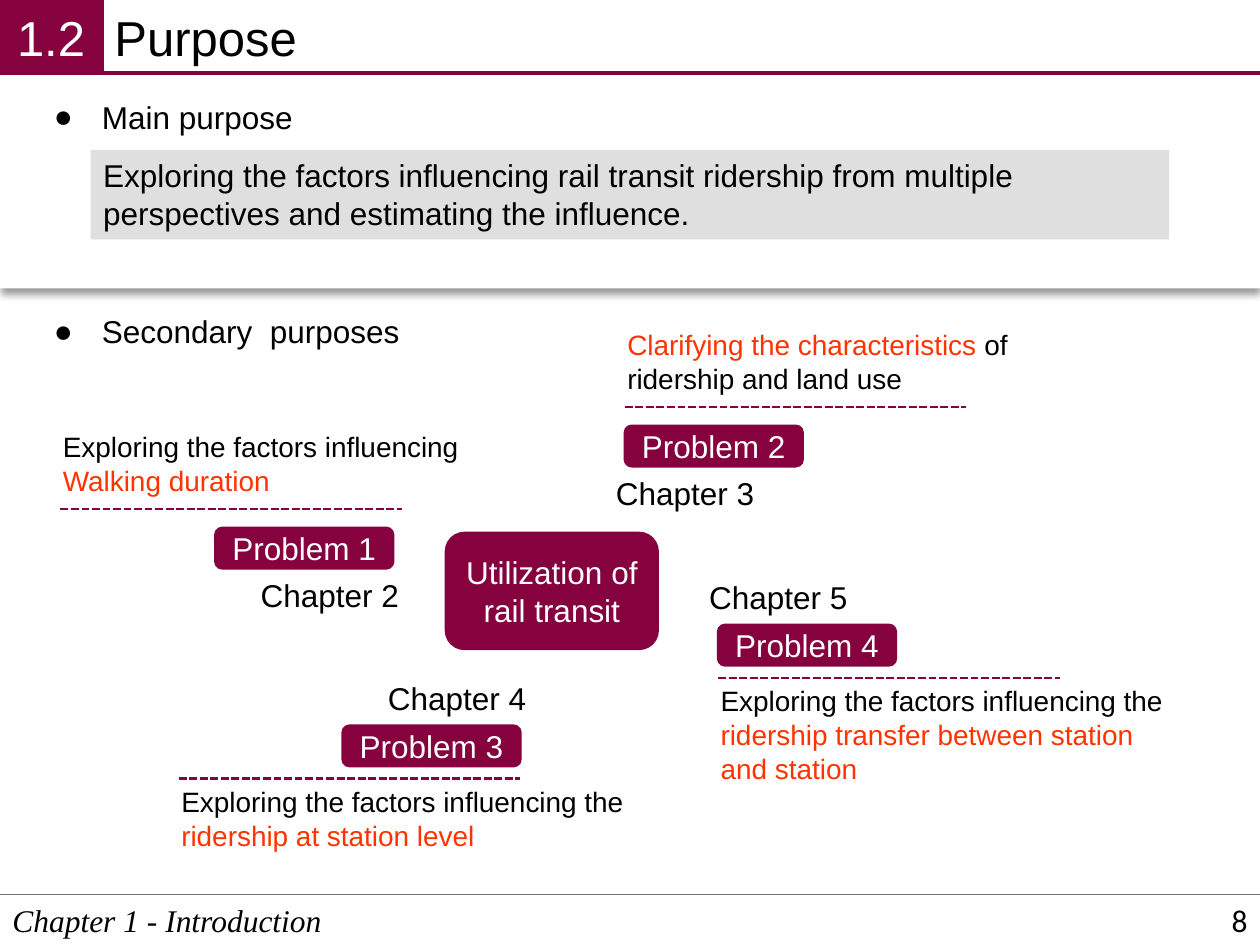
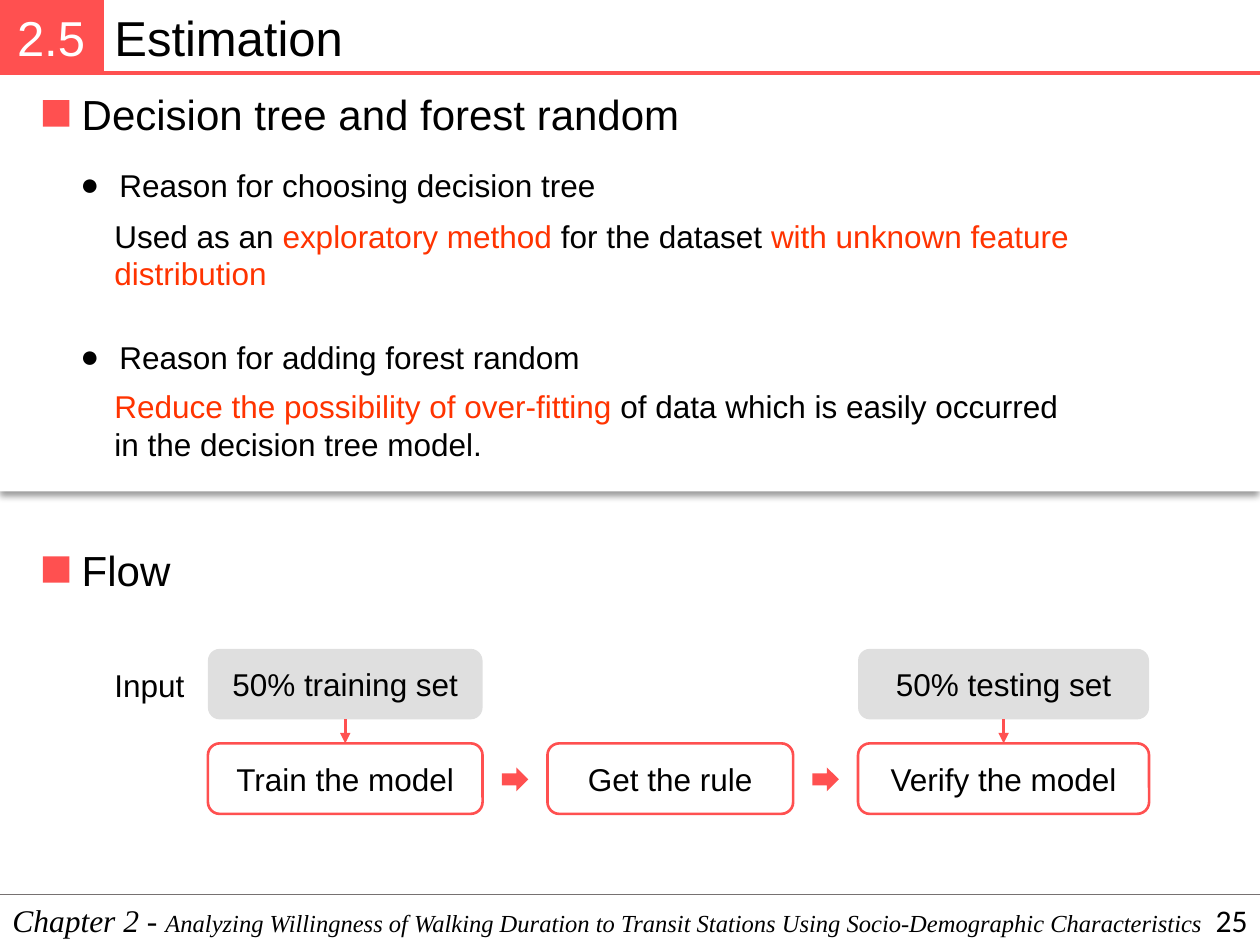
import pptx
import pptx.dml.color
import pptx.enum.dml
import pptx.enum.shapes
import pptx.enum.text
import pptx.oxml
import pptx.oxml.ns
import pptx.util

COLORS = {
    "wine": "85023E", "coral": "FF5050", "highlight": "FF3300", "black": "000000",
    "white": "FFFFFF", "gray": "808080", "rule": "767171",
}
COLUMNS, ROWS = 100, 75
HEADER_ROWS, NUMBER_COLUMNS, FOOTER_ROW = 5.8, 8.1, 71

PURPOSE = {
    "number": "1.2", "title": "Purpose", "accent": "wine", "panel_rows": 17, "page": "8",
    "footer": [("Chapter 1 - Introduction", 18)],
    "bullets": [("Main purpose", 3.3, 7.3), ("Secondary  purposes", 3.3, 24.3)],
    "statement": "Exploring the factors influencing rail transit ridership "
                 "from multiple perspectives and estimating the influence.",
    "center": "Utilization of rail transit",
}
PROBLEMS = [
    {"name": "Problem 1", "chapter": "Chapter 2", "line": (4.8, 40.4), "badge": 12.3, "above": True,
     "aim": [("Exploring the factors influencing ", "black"), ("Walking duration", "highlight")]},
    {"name": "Problem 2", "chapter": "Chapter 3", "line": (49.6, 32.3), "badge": 0, "above": True,
     "aim": [("Clarifying the characteristics ", "highlight"), ("of ridership and land use", "black")]},
    {"name": "Problem 3", "chapter": "Chapter 4", "line": (14.2, 61.8), "badge": 13, "above": False,
     "aim": [("Exploring the factors influencing the ", "black"),
             ("ridership at station level", "highlight")]},
    {"name": "Problem 4", "chapter": "Chapter 5", "line": (57, 53.8), "badge": 0, "above": False,
     "aim": [("Exploring the factors influencing the ", "black"),
             ("ridership transfer between station and station", "highlight")]},
]
ESTIMATION = {
    "number": "2.5", "title": "Estimation", "accent": "coral", "panel_rows": 33.1, "page": "25",
    "footer": [("Chapter 2 - ", 18),
               ("Analyzing Willingness of Walking Duration to Transit Stations "
                "Using Socio-Demographic Characteristics", 14)],
    "headings": [("Decision tree and forest random", 6.5, 49.9), ("Flow", 42.7, 9.1)],
    "bullets": [("Reason for choosing decision tree", 5.4, 12.7),
                ("Reason for adding forest random", 5.4, 26.3)],
    "reasons": [
        (16.7, [("Used as an ", "black"), ("exploratory method ", "highlight"),
                ("for the dataset ", "black"), ("with unknown feature distribution", "highlight")]),
        (30.2, [("Reduce the possibility of over-fitting", "highlight"),
                (" of data which is easily occurred in the decision tree model.", "black")]),
    ],
}
FLOW = [
    {"step": "Train the model", "columns": 21.8, "input": "50% training set"},
    {"step": "Get the rule", "columns": 19.5, "input": None},
    {"step": "Verify the model", "columns": 23.1, "input": "50% testing set"},
]
FLOW_LEFT, FLOW_GAP, INPUT_ROW, STEP_ROW, STEP_ROWS = 16.5, 5.15, 51.5, 59, 5.6

ALIGN = pptx.enum.text.PP_ALIGN
ANCHOR = pptx.enum.text.MSO_ANCHOR
SHAPE = pptx.enum.shapes.MSO_SHAPE

presentation = pptx.Presentation()
presentation.slide_width = pptx.util.Inches(10)
presentation.slide_height = pptx.util.Inches(7.5)


def place(column, row):
    return (round(presentation.slide_width * column / COLUMNS),
            round(presentation.slide_height * row / ROWS))


def rgb(name):
    return pptx.dml.color.RGBColor.from_string(COLORS[name])


def add_xml(parent, markup):
    namespace = pptx.oxml.ns.nsdecls("a")
    tag, rest = markup[1:].split(" ", 1)
    element = pptx.oxml.parse_xml(f"<{tag} {namespace} {rest}")
    parent.append(element)
    return element


def write(shape, runs, align=ALIGN.LEFT, anchor=ANCHOR.TOP, font="Arial", italic=False, wrap=True):
    frame = shape.text_frame
    frame.word_wrap = wrap
    frame.vertical_anchor = anchor
    paragraph = frame.paragraphs[0]
    paragraph.alignment = align
    for text, size, color in runs:
        run = paragraph.add_run()
        run.text = text
        run.font.name = font
        run.font.size = pptx.util.Pt(size)
        run.font.italic = italic
        run.font.color.rgb = rgb(color)
    return paragraph


def add_text(slide, box, runs, **style):
    shape = slide.shapes.add_textbox(*place(*box[:2]), *place(*box[2:]))
    return write(shape, runs, **style)


def add_box(slide, kind, box, fill=None, line=None, width=1.5, alpha=None):
    shape = slide.shapes.add_shape(kind, *place(*box[:2]), *place(*box[2:]))
    shape.shadow.inherit = False
    if fill:
        shape.fill.solid()
        shape.fill.fore_color.rgb = rgb(fill)
    else:
        shape.fill.background()
    if alpha:
        color = shape.fill._xPr.find(".//" + pptx.oxml.ns.qn("a:srgbClr"))
        add_xml(color, f'<a:alpha val="{alpha * 1000}"/>')
    if line:
        shape.line.color.rgb = rgb(line)
        shape.line.width = pptx.util.Pt(width)
    else:
        shape.line.fill.background()
    return shape


def add_line(slide, start, end, color, width, dashed=False, arrow=False):
    connector = slide.shapes.add_connector(
        pptx.enum.shapes.MSO_CONNECTOR.STRAIGHT, *place(*start), *place(*end))
    connector.line.color.rgb = rgb(color)
    connector.line.width = pptx.util.Pt(width)
    if dashed:
        connector.line.dash_style = pptx.enum.dml.MSO_LINE.SQUARE_DOT
    if arrow:
        add_xml(connector.line._get_or_add_ln(), '<a:tailEnd type="triangle"/>')
    add_xml(connector._element.spPr, "<a:effectLst />")


def add_bullet(slide, text, column, row, columns, indent):
    paragraph = add_text(slide, (column, row, columns, 4), [(text, 18, "black")])
    properties = paragraph._p.get_or_add_pPr()
    hang = pptx.util.Inches(indent)
    properties.set("marL", str(hang))
    properties.set("indent", str(-hang))
    add_xml(properties, '<a:buFont typeface="Arial"/>')
    add_xml(properties, '<a:buChar char="●"/>')


def add_frame(content):
    slide = presentation.slides.add_slide(presentation.slide_layouts[6])
    accent = content["accent"]
    panel = add_box(slide, SHAPE.RECTANGLE, (0, 5.9, COLUMNS, content["panel_rows"]), "white")
    effects = panel._element.spPr.find(pptx.oxml.ns.qn("a:effectLst"))
    add_xml(effects, '<a:outerShdw blurRad="50800" dist="38100" dir="5400000" algn="t" rotWithShape="0">'
                     '<a:prstClr val="black"><a:alpha val="40000"/></a:prstClr></a:outerShdw>')
    add_text(slide, (0, FOOTER_ROW, COLUMNS, 4),
             [(text, size, "black") for text, size in content["footer"]],
             font="Times New Roman", italic=True)
    add_line(slide, (0, FOOTER_ROW), (COLUMNS, FOOTER_ROW), "rule", 1)
    add_text(slide, (NUMBER_COLUMNS, 0.1, COLUMNS - NUMBER_COLUMNS, 5.7),
             [(content["title"], 28, "black")])
    number = add_box(slide, SHAPE.RECTANGLE, (0, 0, NUMBER_COLUMNS, HEADER_ROWS), accent, accent, 2.25)
    frame = number.text_frame
    frame.margin_left = frame.margin_right = pptx.util.Inches(0.06)
    frame.margin_top = frame.margin_bottom = pptx.util.Inches(0.06)
    write(number, [(content["number"], 28, "white")], ALIGN.CENTER, ANCHOR.MIDDLE)
    add_line(slide, (NUMBER_COLUMNS, HEADER_ROWS), (COLUMNS, HEADER_ROWS), accent, 2.25)
    add_text(slide, (77.5, FOOTER_ROW, 22.5, 4), [(content["page"], 18, "black")],
             align=ALIGN.RIGHT, anchor=ANCHOR.MIDDLE, font="Calibri")
    return slide


def add_problem(slide, problem):
    left, row = problem["line"]
    above = problem["above"]
    aim_row, badge_row, chapter_row = (-6.8, 1.5, 4.8) if above else (0, -4.2, -8.4)
    badge_left = left + problem["badge"]
    chapter_left = badge_left + (2.6 if problem["badge"] else -1.7)
    add_text(slide, (left - 0.8, row + aim_row, 38.5, 6.4),
             [(text, 16, color) for text, color in problem["aim"]])
    badge = add_box(slide, SHAPE.ROUNDED_RECTANGLE, (badge_left, row + badge_row, 14.1, 3.2), "wine", "wine")
    write(badge, [(problem["name"], 18, "white")], ALIGN.CENTER, ANCHOR.MIDDLE)
    add_text(slide, (chapter_left, row + chapter_row, 13.1, 4),
             [(problem["chapter"], 18, "black")], wrap=False)
    add_line(slide, (left, row), (left + 27.1, row), "wine", 1.5, dashed=True)


def build_purpose():
    slide = add_frame(PURPOSE)
    statement = add_box(slide, SHAPE.RECTANGLE, (7.2, 11.9, 85.6, 7.1), "gray", alpha=25)
    write(statement, [(PURPOSE["statement"], 18, "black")])
    center = add_box(slide, SHAPE.ROUNDED_RECTANGLE, (35.3, 42.2, 17, 9.4), "wine")
    write(center, [(PURPOSE["center"], 18, "white")], ALIGN.CENTER, ANCHOR.MIDDLE)
    for text, column, row in PURPOSE["bullets"]:
        add_bullet(slide, text, column, row, 35.2, 0.38)
    for problem in PROBLEMS:
        add_problem(slide, problem)


def add_flow(slide):
    add_text(slide, (8.1, 52.4, 7.6, 4), [("Input", 18, "black")], wrap=False)
    left = FLOW_LEFT
    for index, stage in enumerate(FLOW):
        columns = stage["columns"]
        if index:
            add_box(slide, SHAPE.RIGHT_ARROW, (left - FLOW_GAP / 2 - 1.05, 60.9, 2.1, 1.9), "coral")
        step = add_box(slide, SHAPE.ROUNDED_RECTANGLE, (left, STEP_ROW, columns, STEP_ROWS), line="coral")
        write(step, [(stage["step"], 18, "black")], ALIGN.CENTER, ANCHOR.MIDDLE)
        if stage["input"]:
            source = add_box(slide, SHAPE.ROUNDED_RECTANGLE, (left, INPUT_ROW, columns, STEP_ROWS),
                             "gray", alpha=25)
            write(source, [(stage["input"], 18, "black")], ALIGN.CENTER, ANCHOR.MIDDLE)
            middle = left + columns / 2
            add_line(slide, (middle, INPUT_ROW + STEP_ROWS), (middle, STEP_ROW), "coral", 1.5, arrow=True)
        left += columns + FLOW_GAP


def build_estimation():
    slide = add_frame(ESTIMATION)
    for text, row, columns in ESTIMATION["headings"]:
        add_box(slide, SHAPE.RECTANGLE, (3.4, row + 1.45, 2.1, 2.1), "coral")
        add_text(slide, (5.5, row, columns, 5), [(text, 24, "black")], wrap=False)
    for text, column, row in ESTIMATION["bullets"]:
        add_bullet(slide, text, column, row, 50, 0.31)
    for row, runs in ESTIMATION["reasons"]:
        add_text(slide, (8.1, row, 79.4, 7.1), [(text, 18, color) for text, color in runs])
    add_flow(slide)


build_purpose()
build_estimation()
presentation.save("out.pptx")
